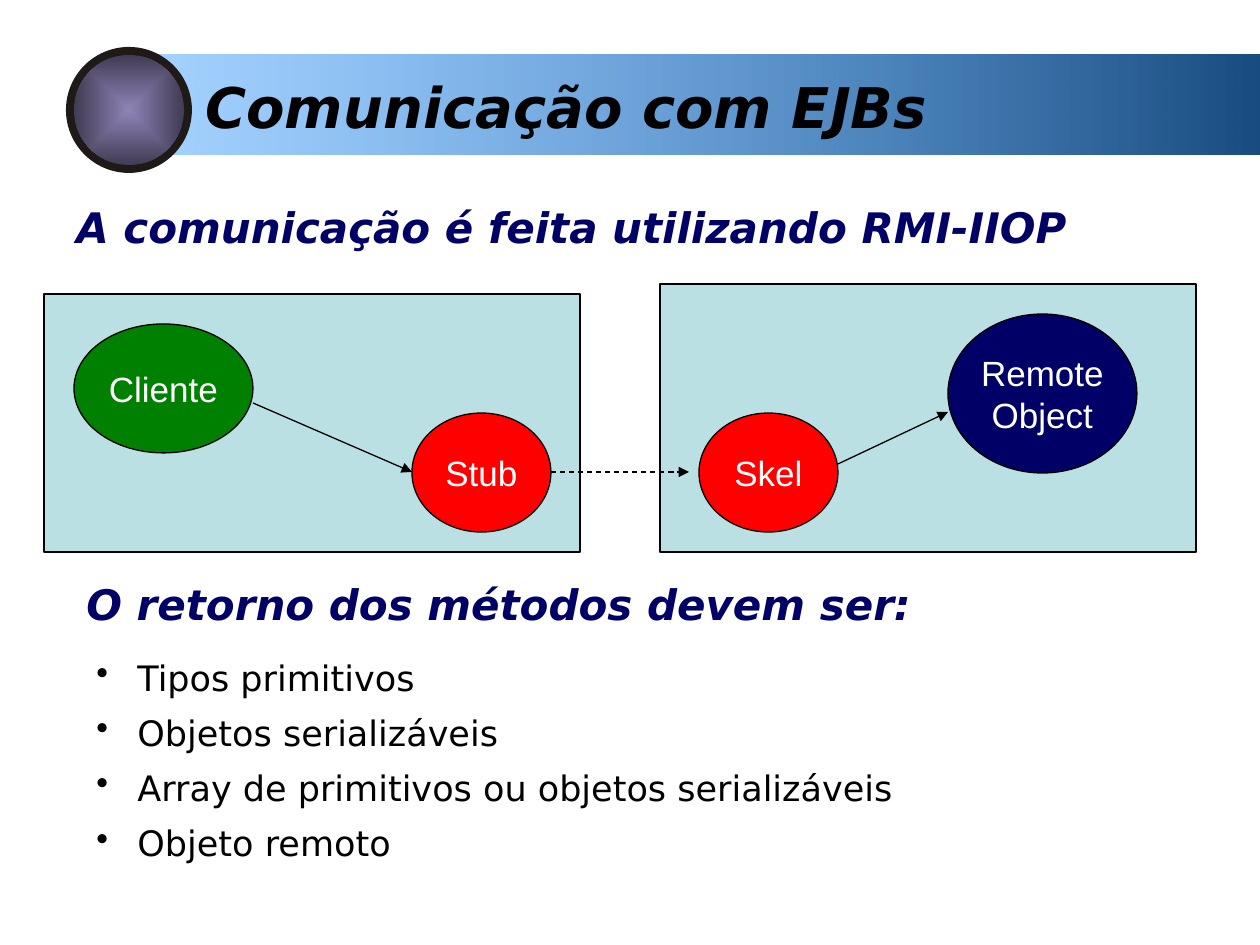
from dataclasses import dataclass

import pptx
import pptx.util
import pptx.dml.color
import pptx.enum.dml
import pptx.enum.shapes
import pptx.enum.text
import pptx.oxml
import pptx.oxml.ns
from lxml import etree

RGB = pptx.dml.color.RGBColor
KIND = pptx.enum.shapes.MSO_SHAPE
ALIGN = pptx.enum.text.PP_ALIGN
qn = pptx.oxml.ns.qn

BLACK = RGB(0x00, 0x00, 0x00)
WHITE = RGB(0xFF, 0xFF, 0xFF)
NAVY = RGB(0x00, 0x00, 0x66)
GREEN = RGB(0x00, 0x80, 0x00)
RED = RGB(0xFF, 0x00, 0x00)
PALE = RGB(0xBB, 0xE0, 0xE3)
DEEP = RGB(0x19, 0x4D, 0x81)
SKY = RGB(0x33, 0x99, 0xFF)
SOOT = RGB(0x1F, 0x1A, 0x17)
LILAC = RGB(0x8E, 0x84, 0xB7)
PLUM = RGB(0x41, 0x3C, 0x54)

SCALE = 914400 / 126  # EMU in one px
SANS = "DejaVu Sans"


@dataclass
class Box:
    x: int
    y: int
    w: int
    h: int


@dataclass
class Node:
    text: str
    box: Box
    fill: RGB


@dataclass
class Arrow:
    start: tuple[int, int]
    end: tuple[int, int]
    dashed: bool = False


@dataclass
class Label:
    lines: list[str]
    box: Box
    size: int
    color: RGB
    strong: bool = True


PANELS = [Box(660, 284, 536, 268), Box(44, 294, 536, 258)]
LABELS = [
    Label(["Comunicação com EJBs"], Box(193, 66, 1067, 80), 32, BLACK),
    Label(["A comunicação é feita utilizando RMI-IIOP"],
          Box(64, 195, 1062, 63), 24, NAVY),
    Label(["O retorno dos métodos devem ser:"],
          Box(74, 572, 1062, 63), 24, NAVY),
    Label(["Tipos primitivos", "Objetos serializáveis",
           "Array de primitivos ou objetos serializáveis", "Objeto remoto"],
          Box(84, 650, 1062, 220), 20, BLACK, False),
]
NODES = [
    Node("Cliente", Box(74, 324, 179, 129), GREEN),
    Node("Stub", Box(412, 413, 139, 119), RED),
    Node("Skel", Box(699, 413, 139, 119), RED),
    Node("Remote\vObject", Box(948, 314, 189, 159), NAVY),
]
ARROWS = [
    Arrow((253, 403), (412, 472)),
    Arrow((551, 472), (689, 472), True),
    Arrow((838, 464), (948, 412)),
]


def px(n: int) -> int:
    return round(n * SCALE)


def place(box: Box) -> tuple[int, ...]:
    return tuple(px(n) for n in (box.x, box.y, box.w, box.h))


def shape(slide, kind, box: Box, fill: RGB | None = None, edge: bool = False):
    item = slide.shapes.add_shape(kind, *place(box))
    item.shadow.inherit = False
    if fill is not None:
        item.fill.solid()
        item.fill.fore_color.rgb = fill
    if edge:
        item.line.color.rgb = BLACK
        item.line.width = pptx.util.Pt(0.75)
    else:
        item.line.fill.background()
    return item


def blend(item, first: RGB, last: RGB):
    item.fill.gradient()
    for stop, color in zip(item.fill.gradient_stops, (first, last)):
        stop.color.rgb = color
    return item.fill


def style(para, font: str, size: int, color: RGB, strong: bool = False) -> None:
    for run in para.runs:
        run.font.name = font
        run.font.size = pptx.util.Pt(size)
        run.font.color.rgb = color
        run.font.bold = run.font.italic = strong


def bullet(para) -> None:
    para.space_before = pptx.util.Pt(7.5)
    props = para._p.get_or_add_pPr()
    props.set("marL", str(px(41)))
    props.set("indent", str(-px(41)))
    etree.SubElement(props, qn("a:buChar")).set("char", "•")


def label(slide, spec: Label) -> None:
    frame = slide.shapes.add_textbox(*place(spec.box)).text_frame
    frame.word_wrap = True
    frame.text = "\n".join(spec.lines)
    for para in frame.paragraphs:
        style(para, SANS, spec.size, spec.color, spec.strong)
        if len(spec.lines) > 1:
            bullet(para)


def node(slide, spec: Node) -> None:
    frame = shape(slide, KIND.OVAL, spec.box, spec.fill, True).text_frame
    frame.word_wrap = False
    frame.vertical_anchor = pptx.enum.text.MSO_ANCHOR.MIDDLE
    frame.text = spec.text
    para = frame.paragraphs[0]
    para.alignment = ALIGN.CENTER
    style(para, "Arial", 20, WHITE)


def arrow(slide, spec: Arrow) -> None:
    ends = [px(n) for n in spec.start + spec.end]
    link = slide.shapes.add_connector(
        pptx.enum.shapes.MSO_CONNECTOR.STRAIGHT, *ends)
    link.line.color.rgb = BLACK
    link.line.width = pptx.util.Pt(0.75)
    if spec.dashed:
        link.line.dash_style = pptx.enum.dml.MSO_LINE.DASH
    props = link._element.spPr
    etree.SubElement(props.find(qn("a:ln")), qn("a:tailEnd")).set("type", "triangle")
    etree.SubElement(props, qn("a:effectLst"))


def banner(slide) -> None:
    bar = shape(slide, KIND.RECTANGLE, Box(154, 55, 1106, 100))
    blend(bar, DEEP, SKY).gradient_angle = 180
    tint = bar._element.spPr.findall(".//" + qn("a:srgbClr"))[-1]
    etree.SubElement(tint, qn("a:alpha")).set("val", "44000")


def badge(slide) -> None:
    ring = shape(slide, KIND.DONUT, Box(66, 47, 126, 126), SOOT)
    ring.adjustments[0] = 0.12
    disc = shape(slide, KIND.OVAL, Box(74, 55, 110, 110))
    blend(disc, LILAC, PLUM)
    grad = disc._element.spPr.find(qn("a:gradFill"))
    grad.remove(grad.find(qn("a:lin")))
    way = etree.SubElement(grad, qn("a:path"))
    way.set("path", "rect")
    focus = etree.SubElement(way, qn("a:fillToRect"))
    for side in "ltrb":
        focus.set(side, "50000")


def main() -> None:
    deck = pptx.Presentation()
    deck.slide_width, deck.slide_height = px(1260), px(945)
    slide = deck.slides.add_slide(deck.slide_layouts[6])

    # Panels and header
    for box in PANELS:
        shape(slide, KIND.RECTANGLE, box, PALE, True)
    banner(slide)
    badge(slide)

    # Headings and list
    for spec in LABELS:
        label(slide, spec)

    # Call flow
    for spec in NODES:
        node(slide, spec)
    for spec in ARROWS:
        arrow(slide, spec)

    deck.save("out.pptx")


if __name__ == "__main__":
    main()
